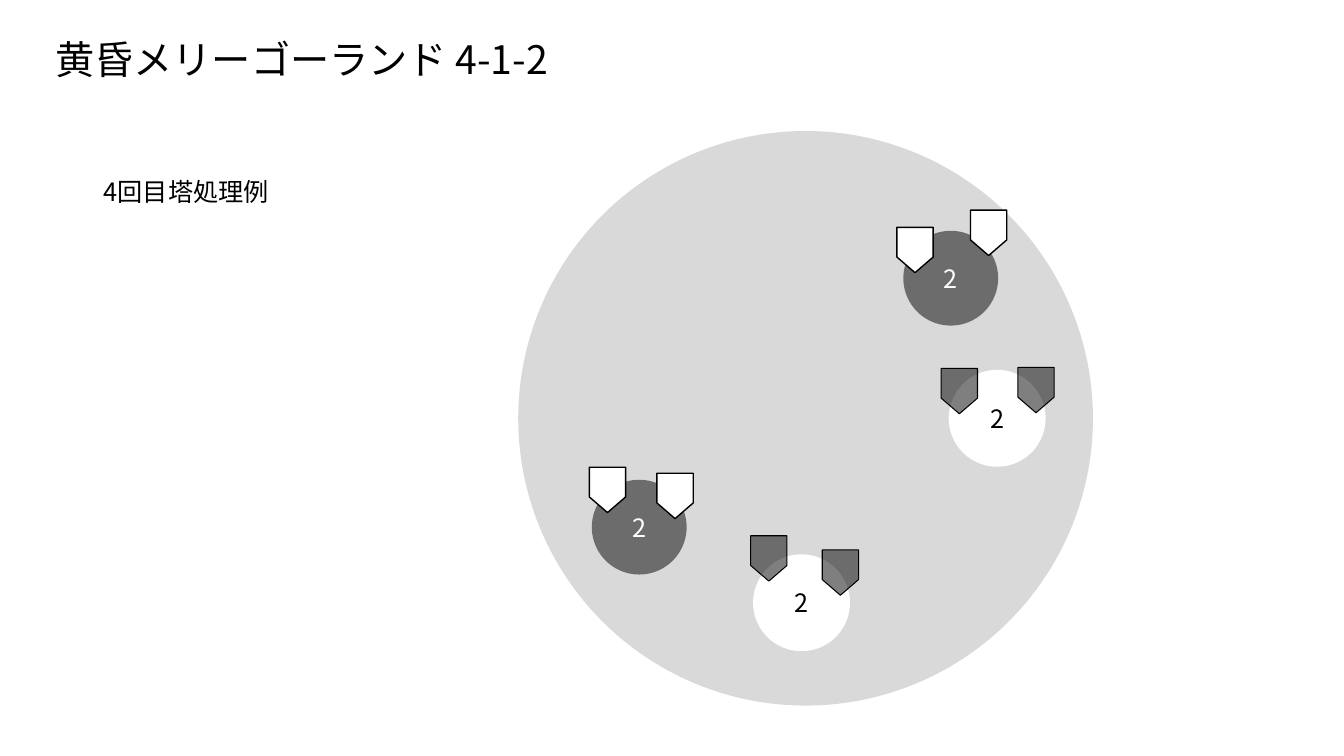
from dataclasses import dataclass
from lxml.etree import SubElement
from pptx import Presentation
from pptx.dml.color import RGBColor
from pptx.enum.shapes import MSO_SHAPE as Shape
from pptx.enum.text import MSO_ANCHOR as Anchor, PP_ALIGN as Align
from pptx.oxml.ns import qn
from pptx.util import Pt

PX = 9144


@dataclass(frozen=True)
class Theme:
    font: str = "Noto Sans CJK SC"
    black: str = "000000"
    white: str = "FFFFFF"
    arena: str = "D9D9D9"
    title_size: int = 28
    body_size: int = 18
    half: int = 50


@dataclass(frozen=True)
class Look:
    tower_fill: str
    tower_alpha: int
    tower_line: float
    label: str
    plate_fill: str
    plate_alpha: int
    plate_line: float


THEME = Theme()
DARK = Look(THEME.black, THEME.half, 0, THEME.white, THEME.white, 100, 1)
LIGHT = Look(THEME.white, 100, 1.5, THEME.black, THEME.black, THEME.half, 0.75)

TOWER_SIZE = 94
PLATE_WIDTH, PLATE_HEIGHT = 45, 36
TOWERS = [
    (DARK, (382, 99), [(-11, 1), (62, -16)]),
    (DARK, (73, 346), [(-7, -8), (60, -2)]),
    (LIGHT, (234, 421), [(-8, -15), (63, -1)]),
    (LIGHT, (428, 238), [(-13, 2), (63, 1)]),
]


def scaled(box):
    return [length * PX for length in box]


def write(frame, text, size, color, align=Align.LEFT):
    para = frame.paragraphs[0]
    para.text = text
    para.alignment = align
    para.font.size = Pt(size)
    para.font.name = THEME.font
    para.font.color.rgb = RGBColor.from_string(color)
    SubElement(para.font._element, qn("a:ea"), typeface=THEME.font)
    return para


def add_text(page, box, text, size):
    frame = page.shapes.add_textbox(*scaled(box)).text_frame
    frame.word_wrap = True
    return write(frame, text, size, THEME.black)


def add_figure(page, kind, box, fill, alpha=100, line=0, line_color=THEME.black):
    figure = page.shapes.add_shape(kind, *scaled(box))
    figure.shadow.inherit = False
    figure.fill.solid()
    figure.fill.fore_color.rgb = RGBColor.from_string(fill)
    if alpha < 100:
        color = figure._element.spPr.find(qn("a:solidFill"))[0]
        SubElement(color, qn("a:alpha"), val=str(alpha * 1000))
    if line:
        figure.line.width = Pt(line)
        figure.line.color.rgb = RGBColor.from_string(line_color)
    else:
        figure.line.fill.background()
    return figure


def add_title(page, box):
    para = add_text(page, box, "黄昏メリーゴーランド 4-1-2", THEME.title_size)
    para.line_spacing = 0.9


def add_plate(page, left, top, look):
    plate = add_figure(page, Shape.PENTAGON, (left, top, PLATE_WIDTH, PLATE_HEIGHT),
                       look.plate_fill, look.plate_alpha, look.plate_line)
    plate.adjustments[0] = 0.43
    plate.rotation = 90


def add_tower(page, box, look, plates):
    left, top = box[:2]
    tower = add_figure(page, Shape.OVAL, box, look.tower_fill, look.tower_alpha,
                       look.tower_line, THEME.white)
    tower.text_frame.vertical_anchor = Anchor.MIDDLE
    write(tower.text_frame, "2", THEME.body_size, look.label, Align.CENTER)
    for across, down in plates:
        add_plate(page, left + across, top + down, look)


def add_arena(page, box):
    left, top = box[:2]
    add_figure(page, Shape.OVAL, box, THEME.arena)
    for look, (across, down), plates in TOWERS:
        tower_box = (left + across, top + down, TOWER_SIZE, TOWER_SIZE)
        add_tower(page, tower_box, look, plates)


def main():
    deck = Presentation()
    deck.slide_width, deck.slide_height = scaled((1333, 750))
    page = deck.slides.add_slide(deck.slide_layouts[6])
    add_title(page, (45, 35, 1242, 79))
    add_text(page, (93, 170, 365, 40), "4回目塔処理例", THEME.body_size)
    add_arena(page, (514, 130, 570, 570))
    deck.save("out.pptx")


if __name__ == "__main__":
    main()
